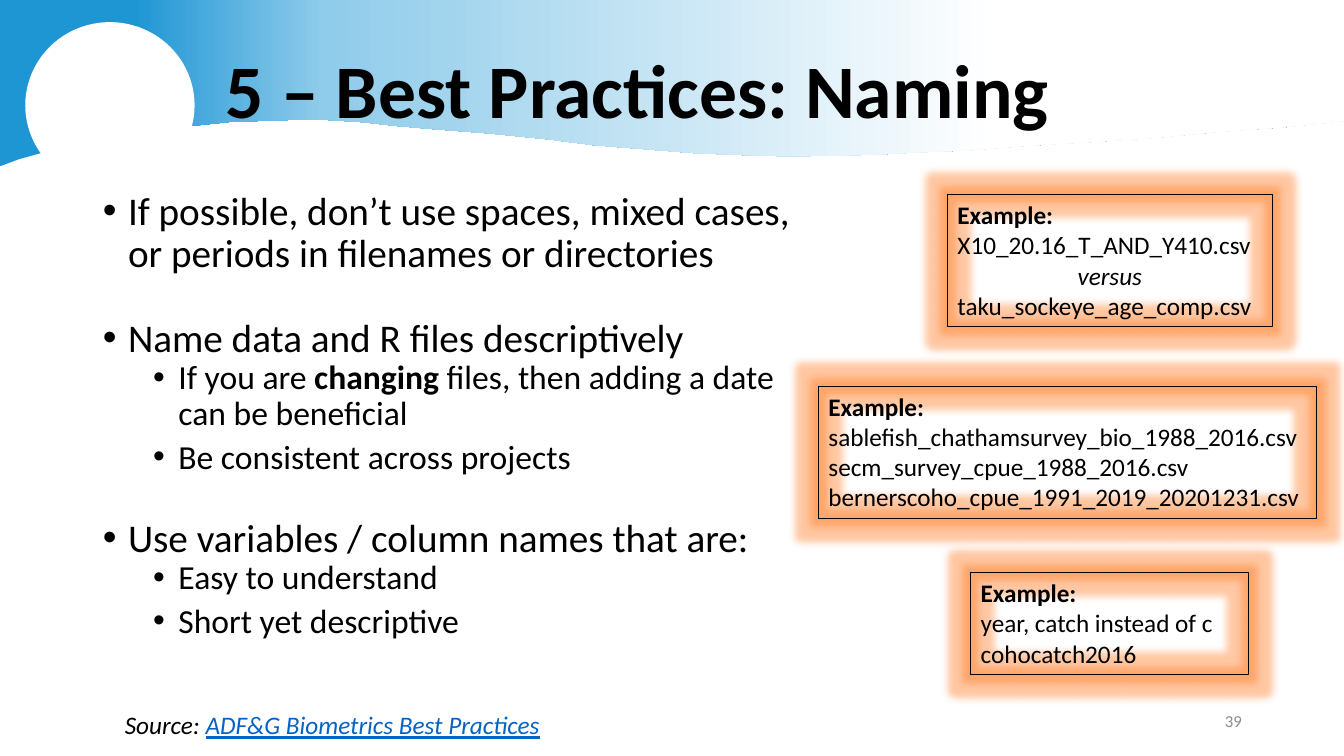
from copy import deepcopy
from dataclasses import dataclass

from lxml.etree import SubElement
from pptx import Presentation
from pptx.dml.color import RGBColor
from pptx.enum.shapes import MSO_SHAPE as Preset
from pptx.enum.text import MSO_ANCHOR as Anchor, MSO_AUTO_SIZE as AutoSize, PP_ALIGN as Align
from pptx.oxml.ns import qn
from pptx.shapes.autoshape import Shape
from pptx.slide import Slide
from pptx.text.text import TextFrame
from pptx.util import Emu, Inches, Pt

COLORS = {
    "text": "000000",
    "muted": "8C8C8C",
    "link": "0563C1",
    "paper": "FFFFFF",
    "sky": "1F96D4",
    "pale_sky": "8FCBEA",
    "glow": "FF7518",
}
FONT = "Calibri"
SLIDE_WIDTH = Inches(13.33)
SLIDE_HEIGHT = Inches(7.5)
GLOW_RADIUS = Pt(11)
WAVE_STOPS = [(0.10, "sky"), (0.24, "pale_sky"), (0.74, "paper")]
WAVE_EDGE = [
    (0, 0), (100, 0), (100, 16), (95.7, 16.8), (90.4, 17.47), (85.7, 18.27),
    (81, 18.8), (76, 19.33), (72, 19.9), (69, 20.1), (65.7, 20.4), (62.5, 20.6),
    (58.4, 20.67), (55.6, 20.53), (51.8, 20.27), (48, 19.73), (44.2, 19.2),
    (40.7, 18.4), (36.1, 17.6), (32.2, 17.07), (29.6, 16.67), (26.8, 16.13),
    (24.4, 15.87), (21.5, 15.87), (17.1, 16.13), (14.2, 16.67), (11.9, 17.2),
    (8.5, 18.13), (4.8, 19.47), (3.3, 20.13), (1.4, 21.07), (0, 22),
]


@dataclass(frozen=True)
class Area:
    left: float
    top: float
    width: float
    height: float


@dataclass(frozen=True)
class Span:
    text: str
    bold: bool = False
    italic: bool = False
    underline: bool = False
    color: str = "text"


@dataclass(frozen=True)
class Line:
    spans: tuple[Span, ...]
    size: int = 18
    align: Align = Align.LEFT
    spacing: float = 1.0
    before: int = 0
    level: int = 0
    bullet: bool = False


@dataclass(frozen=True)
class Example:
    area: Area
    lines: tuple[Line, ...]


def plain(text: str) -> Line:
    return Line((Span(text),))


def topic(text: str, before: int = 30) -> Line:
    return Line((Span(text),), 28, spacing=0.9, before=before, bullet=True)


def detail(*spans: Span, before: int = 5) -> Line:
    return Line(spans, 24, spacing=0.9, before=before, level=1, bullet=True)


HEADING = Line((Span("Example:", bold=True),))
TITLE = Line((Span("5 – Best Practices: Naming", bold=True),), 54, spacing=0.9)
PRACTICES = (
    topic("If possible, don’t use spaces, mixed cases, or periods in filenames or directories", 0),
    topic("Name data and R files descriptively"),
    detail(Span("If you are "), Span("changing", bold=True),
           Span(" files, then adding a date can be beneficial"), before=0),
    detail(Span("Be consistent across projects")),
    topic("Use variables / column names that are:"),
    detail(Span("Easy to understand"), before=0),
    detail(Span("Short yet descriptive")),
)
EXAMPLES = (
    Example(Area(70.5, 25.73, 24.15, 17.47), (
        HEADING,
        plain("X10_20.16_T_AND_Y410.csv"),
        Line((Span("versus", italic=True),), align=Align.CENTER),
        plain("taku_sockeye_age_comp.csv"),
    )),
    Example(Area(60.9, 51.07, 37.05, 17.47), (
        HEADING,
        plain("sablefish_chathamsurvey_bio_1988_2016.csv"),
        plain("secm_survey_cpue_1988_2016.csv"),
        plain("bernerscoho_cpue_1991_2019_20201231.csv"),
    )),
    Example(Area(72.23, 75.73, 20.7, 13.47), (
        HEADING,
        plain("year, catch instead of c"),
        plain("cohocatch2016"),
    )),
)
SOURCE = Line((
    Span("Source: ", italic=True),
    Span("ADF&G Biometrics Best Practices", italic=True, underline=True, color="link"),
))
PAGE_NUMBER = Line((Span("39", color="muted"),), 12, Align.RIGHT)


def rgb(name: str) -> RGBColor:
    return RGBColor.from_string(COLORS[name])


def across(percent: float) -> Emu:
    return Emu(round(SLIDE_WIDTH * percent / 100))


def down(percent: float) -> Emu:
    return Emu(round(SLIDE_HEIGHT * percent / 100))


def bounds(area: Area) -> tuple[Emu, Emu, Emu, Emu]:
    return across(area.left), down(area.top), across(area.width), down(area.height)


def write_lines(frame: TextFrame, lines: tuple[Line, ...], anchor: Anchor = Anchor.TOP) -> None:
    frame.word_wrap = True
    frame.auto_size = AutoSize.NONE
    frame.vertical_anchor = anchor
    frame.text = "\n".join(line.spans[0].text for line in lines)
    for paragraph, line in zip(frame.paragraphs, lines):
        if line.bullet:
            paragraph.level = line.level
            properties = paragraph._p.get_or_add_pPr()
            properties.set("marL", str(Inches(0.25 + 0.5 * line.level)))
            properties.set("indent", str(Inches(-0.25)))
            SubElement(properties, qn("a:buFont"), typeface="Arial")
            SubElement(properties, qn("a:buChar"), char="•")
        paragraph.alignment = line.align
        paragraph.line_spacing = line.spacing
        paragraph.space_before = Pt(line.before)
        for span in line.spans[1:]:
            paragraph.add_run().text = span.text
        for run, span in zip(paragraph.runs, line.spans):
            run.font.name = FONT
            run.font.size = Pt(line.size)
            run.font.bold = span.bold
            run.font.italic = span.italic
            run.font.underline = span.underline
            run.font.color.rgb = rgb(span.color)


def fill_placeholder(shape: Shape, area: Area, lines: tuple[Line, ...], anchor: Anchor) -> None:
    shape.left, shape.top, shape.width, shape.height = bounds(area)
    write_lines(shape.text_frame, lines, anchor)


def add_label(slide: Slide, area: Area, line: Line, anchor: Anchor) -> None:
    write_lines(slide.shapes.add_textbox(*bounds(area)).text_frame, (line,), anchor)


def add_backdrop(slide: Slide) -> None:
    points = [(across(x), down(y)) for x, y in WAVE_EDGE]
    builder = slide.shapes.build_freeform(*points[0])
    builder.add_line_segments(points[1:], close=True)
    wave = builder.convert_to_shape()
    wave.fill.gradient()
    wave.fill.gradient_angle = 0
    stop_list = wave.element.find(".//" + qn("a:gsLst"))
    stop_list.append(deepcopy(stop_list[0]))
    for stop, (position, color) in zip(wave.fill.gradient_stops, WAVE_STOPS):
        stop.position = position
        stop.color.rgb = rgb(color)
    circle = slide.shapes.add_shape(Preset.OVAL, *bounds(Area(1.88, 2.93, 12.6, 22)))
    circle.fill.solid()
    circle.fill.fore_color.rgb = rgb("paper")
    for index, shape in enumerate((wave, circle), start=2):
        shape.shadow.inherit = False
        shape.line.fill.background()
        shape.element.getparent().insert(index, shape.element)


def add_example(slide: Slide, example: Example) -> None:
    box = slide.shapes.add_shape(Preset.RECTANGLE, *bounds(example.area))
    box.fill.background()
    box.line.color.rgb = rgb("text")
    box.line.width = Pt(0.75)
    box.shadow.inherit = False
    effects = box.element.spPr.find(qn("a:effectLst"))
    glow = SubElement(effects, qn("a:glow"), rad=str(GLOW_RADIUS))
    color = SubElement(glow, qn("a:srgbClr"), val=COLORS["glow"])
    SubElement(color, qn("a:alpha"), val="40000")
    write_lines(box.text_frame, example.lines)


def main() -> None:
    presentation = Presentation()
    presentation.slide_width = SLIDE_WIDTH
    presentation.slide_height = SLIDE_HEIGHT
    slide = presentation.slides.add_slide(presentation.slide_layouts[1])
    title, body = slide.placeholders
    add_backdrop(slide)
    fill_placeholder(title, Area(16.05, 4.13, 77.1, 16.67), (TITLE,), Anchor.MIDDLE)
    fill_placeholder(body, Area(6.9, 24.67, 55.13, 73.33), PRACTICES, Anchor.TOP)
    for example in EXAMPLES:
        add_example(slide, example)
    add_label(slide, Area(8.55, 93.2, 39.08, 5.33), SOURCE, Anchor.TOP)
    add_label(slide, Area(70.65, 92.67, 22.5, 5.33), PAGE_NUMBER, Anchor.MIDDLE)
    presentation.save("out.pptx")


if __name__ == "__main__":
    main()
